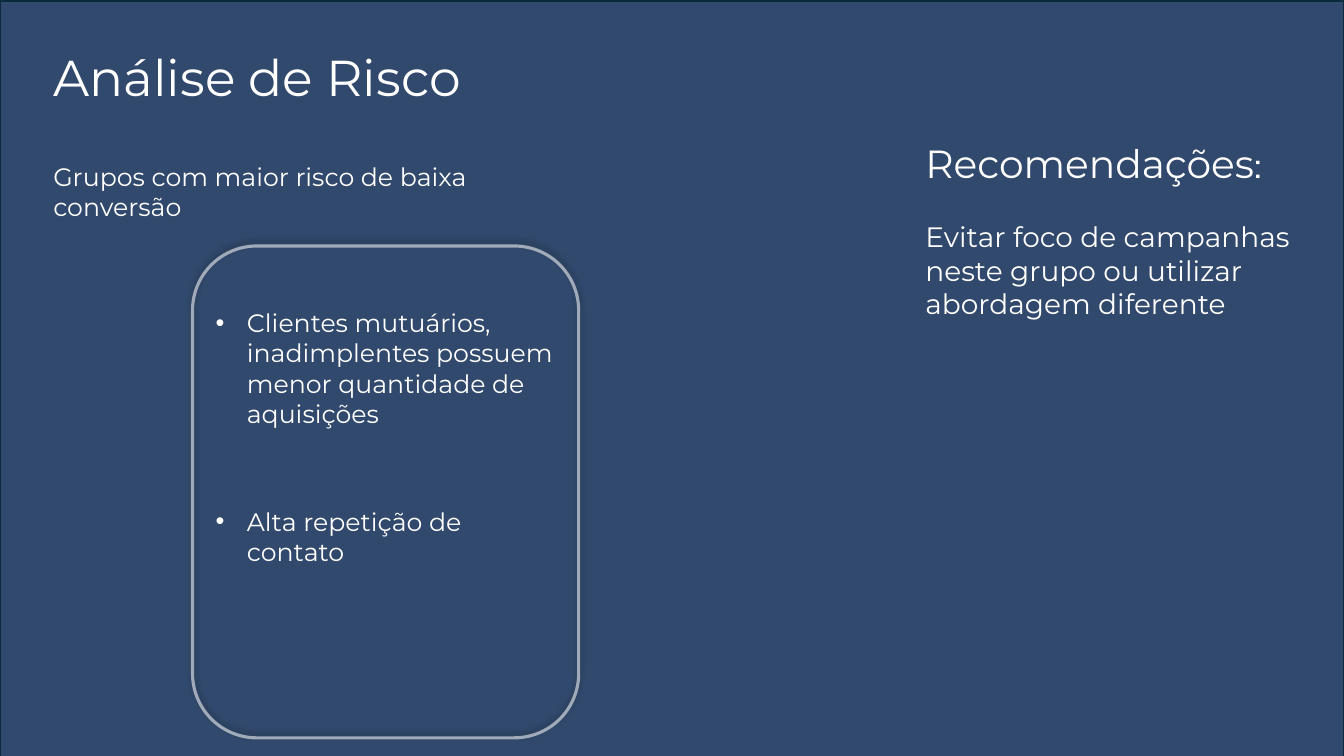
"""Build the risk analysis slide with its risk groups and recommendation."""
from lxml.etree import SubElement
from pptx import Presentation
from pptx.dml.color import RGBColor
from pptx.enum.shapes import MSO_SHAPE
from pptx.oxml.ns import qn
from pptx.util import Inches, Pt

THEME = {
    "backdrop": "1B365D", "edge": "092A39", "text": "FFFFFF", "shadow": "000000",
    "font": "Montserrat", "accent_font": "Cabin",
    "title": 36, "heading": 28, "advice": 20, "body": 18,
}

BACKDROP = (0, 0.01, 13.33, 7.5)
RISK_FRAME = (1.91, 2.44, 3.83, 4.88)
HEADINGS = [
    ((0.43, 0.41, 5.14, 0.71), "title", [("Análise de Risco", "font")]),
    ((0.43, 1.55, 5.31, 0.71), "body", [("Grupos com maior risco de baixa conversão", "font")]),
]
RISKS = [
    ((2.04, 3, 3.55, 1.62), "body",
     [("Clientes mutuários, inadimplentes possuem menor quantidade de aquisições", "font")]),
    ((2.04, 4.97, 3.34, 0.71), "body", [("Alta repetição de contato", "font")]),
]
RECOMMENDATION_HEADING = [
    ((9.08, 1.33, 3.83, 0.57), "heading", [("Recomendações", "font"), (":", "accent_font")]),
]
RECOMMENDATION = [
    ((9.08, 2.13, 4.13, 1.11), "advice",
     [("Evitar foco de campanhas neste grupo ou utilizar abordagem diferente", "font")]),
]


def color(role):
    return RGBColor.from_string(THEME[role])


def set_alpha(color_parent, percent):
    rgb = color_parent.find(".//" + qn("a:srgbClr"))
    SubElement(rgb, qn("a:alpha"), val=str(percent * 1000))


def add_panel(slide, kind, box, line_role, line_width):
    panel = slide.shapes.add_shape(kind, *map(Inches, box))
    panel.shadow.inherit = False
    panel.fill.background()
    panel.line.color.rgb = color(line_role)
    panel.line.width = Pt(line_width)
    return panel


def add_backdrop(slide):
    backdrop = add_panel(slide, MSO_SHAPE.RECTANGLE, BACKDROP, "edge", 1.5)
    backdrop.fill.solid()
    backdrop.fill.fore_color.rgb = color("backdrop")
    set_alpha(backdrop._element.spPr.find(qn("a:solidFill")), 90)


def add_risk_frame(slide):
    frame = add_panel(slide, MSO_SHAPE.ROUNDED_RECTANGLE, RISK_FRAME, "text", 2.25)
    properties = frame._element.spPr
    set_alpha(properties.find(qn("a:ln")), 55)
    shadow = SubElement(
        properties.find(qn("a:effectLst")), qn("a:outerShdw"),
        blurRad=str(Pt(4)), dist=str(Pt(3)), dir=str(270 * 60000), rotWithShape="0")
    SubElement(shadow, qn("a:srgbClr"), val=THEME["shadow"])
    set_alpha(shadow, 40)


def add_bullet(paragraph):
    properties = paragraph._p.get_or_add_pPr()
    properties.set("marL", str(Inches(0.31)))
    properties.set("indent", str(Inches(-0.31)))
    SubElement(properties, qn("a:buFont"), typeface="Arial")
    SubElement(properties, qn("a:buChar"), char="•")


def add_texts(slide, texts, bulleted=False):
    for box, size_role, runs in texts:
        frame = slide.shapes.add_textbox(*map(Inches, box)).text_frame
        frame.word_wrap = True
        paragraph = frame.paragraphs[0]
        if bulleted:
            add_bullet(paragraph)
        for words, font_role in runs:
            run = paragraph.add_run()
            run.text = words
            run.font.name = THEME[font_role]
            run.font.size = Pt(THEME[size_role])
            run.font.color.rgb = color("text")


def main():
    deck = Presentation()
    deck.slide_width, deck.slide_height = Inches(13.33), Inches(7.5)
    slide = deck.slides.add_slide(deck.slide_layouts[6])
    add_backdrop(slide)
    add_texts(slide, HEADINGS)
    add_texts(slide, RISKS, bulleted=True)
    add_texts(slide, RECOMMENDATION_HEADING)
    add_risk_frame(slide)
    add_texts(slide, RECOMMENDATION)
    deck.save("out.pptx")


if __name__ == "__main__":
    main()
